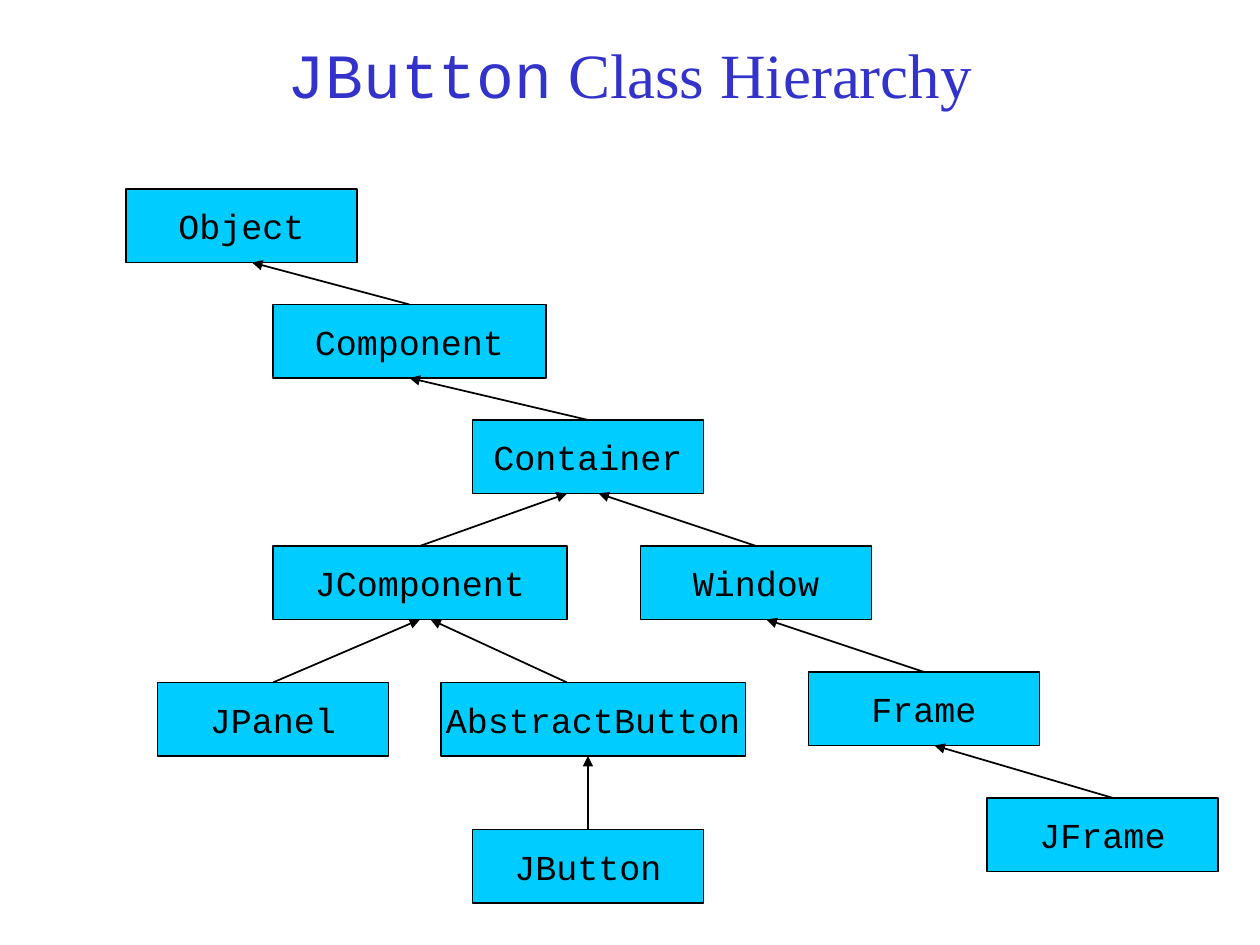
from lxml.etree import SubElement
from pptx import Presentation
from pptx.dml.color import RGBColor
from pptx.enum.shapes import MSO_CONNECTOR, MSO_SHAPE
from pptx.enum.text import MSO_ANCHOR, PP_ALIGN
from pptx.oxml.ns import qn
from pptx.util import Pt

EMU_PER_PX = 7620
BOX_HEIGHT = 70
TOP, BOTTOM = 0, 2
COLORS = {"title": "3333CC", "box": "00CCFF", "ink": "000000"}
CODE_FONT, TITLE_FONT = "Courier New", "Times New Roman"

CLASSES = {
    "Object": (120, 180, 220),
    "Component": (260, 290, 260),
    "Container": (450, 400, 220),
    "Window": (610, 520, 220),
    "Frame": (770, 640, 220),
    "JFrame": (940, 760, 220),
    "JComponent": (260, 520, 280),
    "JPanel": (150, 650, 220),
    "AbstractButton": (420, 650, 290),
    "JButton": (450, 790, 220),
}

INHERITANCE = [
    ("Component", "Object", 0, 10),
    ("Container", "Component", 0, 0),
    ("Window", "Container", 0, 10),
    ("Frame", "Window", 0, 10),
    ("JFrame", "Frame", 10, 10),
    ("JComponent", "Container", 0, -20),
    ("JPanel", "JComponent", 0, 0),
    ("AbstractButton", "JComponent", -25, 10),
    ("JButton", "AbstractButton", 0, -5),
]


def px(length):
    """Turn whole pixels into EMU."""
    return length * EMU_PER_PX


def color(name):
    """Look up a named colour."""
    return RGBColor.from_string(COLORS[name])


def style_run(run, font_name, size, ink):
    """Set the font, size and colour of a run."""
    run.font.name = font_name
    run.font.size = Pt(size)
    run.font.color.rgb = color(ink)


def add_title(slide, parts):
    """Add the centred title from (text, font) parts."""
    title = slide.shapes.add_textbox(px(20), px(28), px(1160), px(84))
    frame = title.text_frame
    frame.word_wrap = True
    frame.vertical_anchor = MSO_ANCHOR.MIDDLE
    heading = frame.paragraphs[0]
    heading.alignment = PP_ALIGN.CENTER
    for text, font_name in parts:
        run = heading.add_run()
        run.text = text
        style_run(run, font_name, 36, "title")


def add_class_box(slide, class_name, left, top, width):
    """Add a labelled class rectangle and return it."""
    box = slide.shapes.add_shape(
        MSO_SHAPE.RECTANGLE, px(left), px(top), px(width), px(BOX_HEIGHT))
    box.shadow.inherit = False
    box.fill.solid()
    box.fill.fore_color.rgb = color("box")
    box.line.color.rgb = color("ink")
    box.line.width = Pt(1)
    frame = box.text_frame
    frame.word_wrap = False
    frame.vertical_anchor = MSO_ANCHOR.MIDDLE
    frame.text = class_name
    label = frame.paragraphs[0]
    label.alignment = PP_ALIGN.CENTER
    style_run(label.runs[0], CODE_FONT, 20, "ink")
    return box


def add_inheritance_arrow(slide, child, parent, child_shift, parent_shift):
    """Point from a child's top to its parent's bottom, shifted from the middles."""
    arrow = slide.shapes.add_connector(
        MSO_CONNECTOR.STRAIGHT,
        child.left + child.width // 2 + px(child_shift), child.top,
        parent.left + parent.width // 2 + px(parent_shift),
        parent.top + parent.height)
    if child_shift == 0:
        arrow.begin_connect(child, TOP)
    if parent_shift == 0:
        arrow.end_connect(parent, BOTTOM)
    arrow.line.color.rgb = color("ink")
    arrow.line.width = Pt(1)
    SubElement(arrow.line._get_or_add_ln(), qn("a:tailEnd"), type="triangle")
    SubElement(arrow._element.spPr, qn("a:effectLst"))


def main():
    """Build the class hierarchy slide."""
    deck = Presentation()
    deck.slide_width, deck.slide_height = px(1200), px(900)
    slide = deck.slides.add_slide(deck.slide_layouts[6])
    add_title(slide, [("JButton", CODE_FONT), (" Class Hierarchy", TITLE_FONT)])
    boxes = {name: add_class_box(slide, name, *place)
             for name, place in CLASSES.items()}
    for child, parent, child_shift, parent_shift in INHERITANCE:
        add_inheritance_arrow(
            slide, boxes[child], boxes[parent], child_shift, parent_shift)
    deck.save("out.pptx")


if __name__ == "__main__":
    main()
